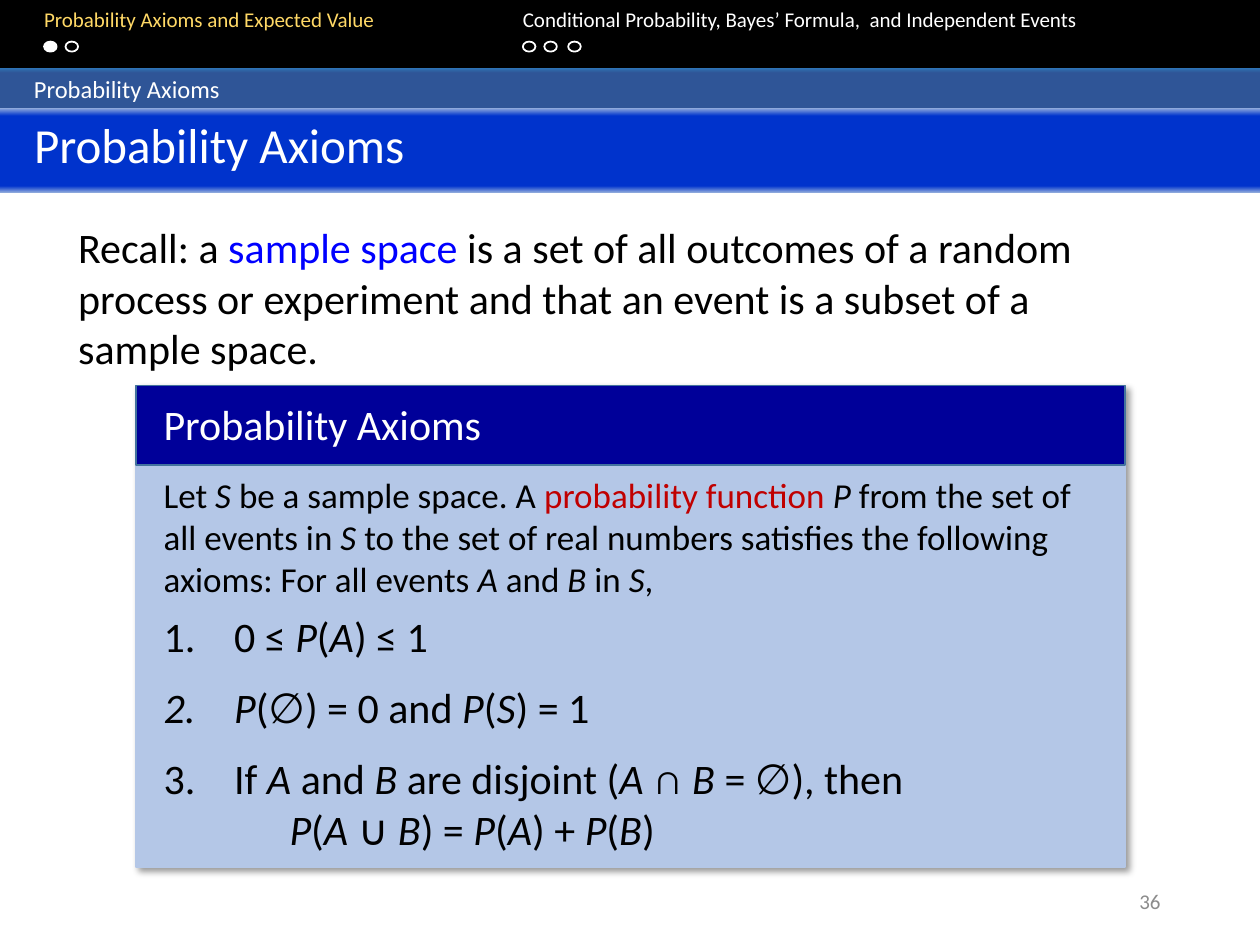
from dataclasses import dataclass

from pptx import Presentation
from pptx.dml.color import RGBColor
from pptx.enum.shapes import MSO_SHAPE
from pptx.enum.text import MSO_ANCHOR, MSO_AUTO_SIZE, PP_ALIGN
from pptx.oxml import parse_xml
from pptx.oxml.ns import nsdecls
from pptx.util import Inches, Pt

FONT = "Calibri"
WHITE = RGBColor(0xFF, 0xFF, 0xFF)
BLACK = RGBColor(0x00, 0x00, 0x00)
GOLD = RGBColor(0xFF, 0xD9, 0x66)
GREY = RGBColor(0x8C, 0x8C, 0x8C)
BLUE = RGBColor(0x00, 0x00, 0xFF)
RED = RGBColor(0xC0, 0x00, 0x00)
NAVY = RGBColor(0x00, 0x00, 0x99)
STEEL = RGBColor(0x43, 0x73, 0x9E)
PALE_BLUE = RGBColor(0xB4, 0xC7, 0xE7)
STRIP_EDGE = RGBColor(0x2E, 0x75, 0xB6)
STRIP_BLUE = RGBColor(0x2F, 0x55, 0x97)
TITLE_EDGE = RGBColor(0x8F, 0xAA, 0xDC)
TITLE_BLUE = RGBColor(0x00, 0x33, 0xCC)


@dataclass
class Section:
    name: str
    left: float
    width: float
    color: RGBColor
    dots: tuple[float, ...]
    current: int | None = None


@dataclass
class Line:
    text: str
    numbered: bool = True
    space_after: int = 12


SECTIONS = [
    Section("Probability Axioms and Expected Value", 0.35, 3.6, GOLD, (0.35, 0.52), 0),
    Section("Conditional Probability, Bayes’ Formula,  and Independent Events",
            4.15, 5.7, WHITE, (4.15, 4.32, 4.51)),
]
# Asterisks enclose italic symbols.
AXIOMS = [
    Line("0 ≤ *P*(*A*) ≤ 1"),
    Line("*P*(∅) = 0 and *P*(*S*) = 1"),
    Line("If *A* and *B* are disjoint (*A* ∩ *B* = ∅), then", space_after=0),
    Line("*P*(*A* ∪ *B*) = *P*(*A*) + *P*(*B*)", numbered=False),
]


def add_runs(p, text: str, size: int, color: RGBColor) -> None:
    """Add runs to a paragraph, setting the parts between asterisks in italics."""
    for i, part in enumerate(text.split("*")):
        if part:
            r = p.add_run()
            r.text = part
            r.font.name, r.font.size = FONT, Pt(size)
            r.font.color.rgb = color
            r.font.italic = i % 2 == 1


def set_frame(shape, left: float = 0.1, anchor=MSO_ANCHOR.TOP):
    tf = shape.text_frame
    tf.word_wrap = True
    tf.auto_size = MSO_AUTO_SIZE.NONE
    tf.vertical_anchor = anchor
    tf.margin_left = Inches(left)
    tf.paragraphs[0].alignment = PP_ALIGN.LEFT
    return tf


def place(shape, left: float, top: float, width: float, height: float) -> None:
    shape.left, shape.top = Inches(left), Inches(top)
    shape.width, shape.height = Inches(width), Inches(height)


def add_box(shapes, left: float, top: float, width: float, height: float,
            fill: RGBColor | None = None, line: RGBColor | None = None,
            kind=MSO_SHAPE.RECTANGLE):
    sp = shapes.add_shape(kind, Inches(left), Inches(top), Inches(width), Inches(height))
    sp.shadow.inherit = False
    if fill is None:
        sp.fill.background()
    else:
        sp.fill.solid()
        sp.fill.fore_color.rgb = fill
    if line is None:
        sp.line.fill.background()
    else:
        sp.line.color.rgb = line
        sp.line.width = Pt(1)
    return sp


def add_text(shapes, left: float, top: float, width: float, height: float,
             inset: float = 0.1, anchor=MSO_ANCHOR.TOP):
    tb = shapes.add_textbox(Inches(left), Inches(top), Inches(width), Inches(height))
    return set_frame(tb, inset, anchor)


def fill_band(shape, edge: RGBColor, middle: RGBColor, start: int, end: int) -> None:
    """Fill with a vertical gradient whose edges differ from its middle."""
    shape.fill.gradient()
    shape.fill.gradient_angle = 270
    stops = "".join(
        f'<a:gs pos="{pos * 1000}"><a:srgbClr val="{color}"/></a:gs>'
        for pos, color in ((0, edge), (start, middle), (end, middle), (100, edge)))
    grad = shape.element.spPr.find(".//{*}gradFill")
    grad.replace(grad.find("{*}gsLst"),
                 parse_xml(f'<a:gsLst {nsdecls("a")}>{stops}</a:gsLst>'))


def set_bullet(p, tag: str, margin: float = 0, indent: float = 0) -> None:
    pPr = p._p.get_or_add_pPr()
    pPr.set("marL", str(Inches(margin)))
    pPr.set("indent", str(Inches(indent)))
    pPr.append(parse_xml(f'<a:{tag} {nsdecls("a")}/>'))


def add_shadow(shape) -> None:
    effects = shape.element.spPr.find("{*}effectLst")
    effects.append(parse_xml(
        f'<a:outerShdw {nsdecls("a")} blurRad="{Pt(4)}" dist="{Pt(3)}" dir="2700000" '
        f'algn="tl" rotWithShape="0"><a:srgbClr val="{BLACK}">'
        '<a:alpha val="40000"/></a:srgbClr></a:outerShdw>'))


def draw_navigation(shapes) -> None:
    add_box(shapes, 0, -0.02, 10, 0.56, BLACK)
    for section in SECTIONS:
        tf = add_text(shapes, section.left, 0, section.width, 0.3, inset=0)
        add_runs(tf.paragraphs[0], section.name, 12, section.color)
        for i, left in enumerate(section.dots):
            add_box(shapes, left, 0.33, 0.1, 0.08, WHITE if i == section.current else None,
                    WHITE, MSO_SHAPE.OVAL)


def draw_title(s) -> None:
    strip = add_box(s.shapes, 0, 0.54, 10, 0.36, BLACK)
    fill_band(strip, STRIP_EDGE, STRIP_BLUE, 11, 91)
    add_runs(set_frame(strip, 0.27).paragraphs[0], "Probability Axioms", 14, WHITE)
    title = s.shapes.title
    place(title, 0, 0.86, 10, 0.67)
    fill_band(title, TITLE_EDGE, TITLE_BLUE, 9, 92)
    add_runs(set_frame(title, 0.27).paragraphs[0], "Probability Axioms", 28, WHITE)
    title.element.addprevious(strip.element)  # the title bar overlaps the strip


def draw_recall(body) -> None:
    place(body, 0.52, 1.71, 8.79, 1.59)
    p = set_frame(body).paragraphs[0]
    p.space_before = Pt(0)
    set_bullet(p, "buNone")
    add_runs(p, "Recall: a ", 24, BLACK)
    add_runs(p, "sample space ", 24, BLUE)
    add_runs(p, "is a set of all outcomes of a random process or experiment "
                "and that an event is a subset of a sample space.", 24, BLACK)


def draw_axioms(shapes) -> None:
    add_shadow(add_box(shapes, 1.08, 3.06, 7.85, 3.82, PALE_BLUE, PALE_BLUE))
    add_box(shapes, 1.08, 3.06, 7.85, 0.63, NAVY, STEEL)
    heading = add_text(shapes, 1.2, 3.11, 4.63, 0.5)
    add_runs(heading.paragraphs[0], "Probability Axioms", 24, WHITE)

    tf = add_text(shapes, 1.2, 3.71, 7.57, 3.15)
    p = tf.paragraphs[0]
    p.space_after = Pt(6)
    add_runs(p, "Let *S *be a sample space. A ", 20, BLACK)
    add_runs(p, "probability function ", 20, RED)
    add_runs(p, "*P* from the set of all events in *S *to the set of real numbers "
                "satisfies the following axioms: For all events *A *and *B* in *S*,",
             20, BLACK)
    for line in AXIOMS:
        p = tf.add_paragraph()
        p.space_after = Pt(line.space_after)
        if line.numbered:
            set_bullet(p, 'buAutoNum type="arabicPeriod"', 0.56, -0.56)
        else:
            set_bullet(p, "buNone", 1)
        add_runs(p, line.text, 24, BLACK)


def main() -> None:
    prs = Presentation()
    prs.slide_width, prs.slide_height = Inches(10), Inches(7.5)
    s = prs.slides.add_slide(prs.slide_layouts[1])
    draw_navigation(s.shapes)
    draw_title(s)
    draw_recall(s.placeholders[1])
    draw_axioms(s.shapes.add_group_shape().shapes)
    p = add_text(s.shapes, 7.06, 6.95, 2.25, 0.4, anchor=MSO_ANCHOR.MIDDLE).paragraphs[0]
    p.alignment = PP_ALIGN.RIGHT
    add_runs(p, "36", 12, GREY)
    prs.save("out.pptx")


if __name__ == "__main__":
    main()
